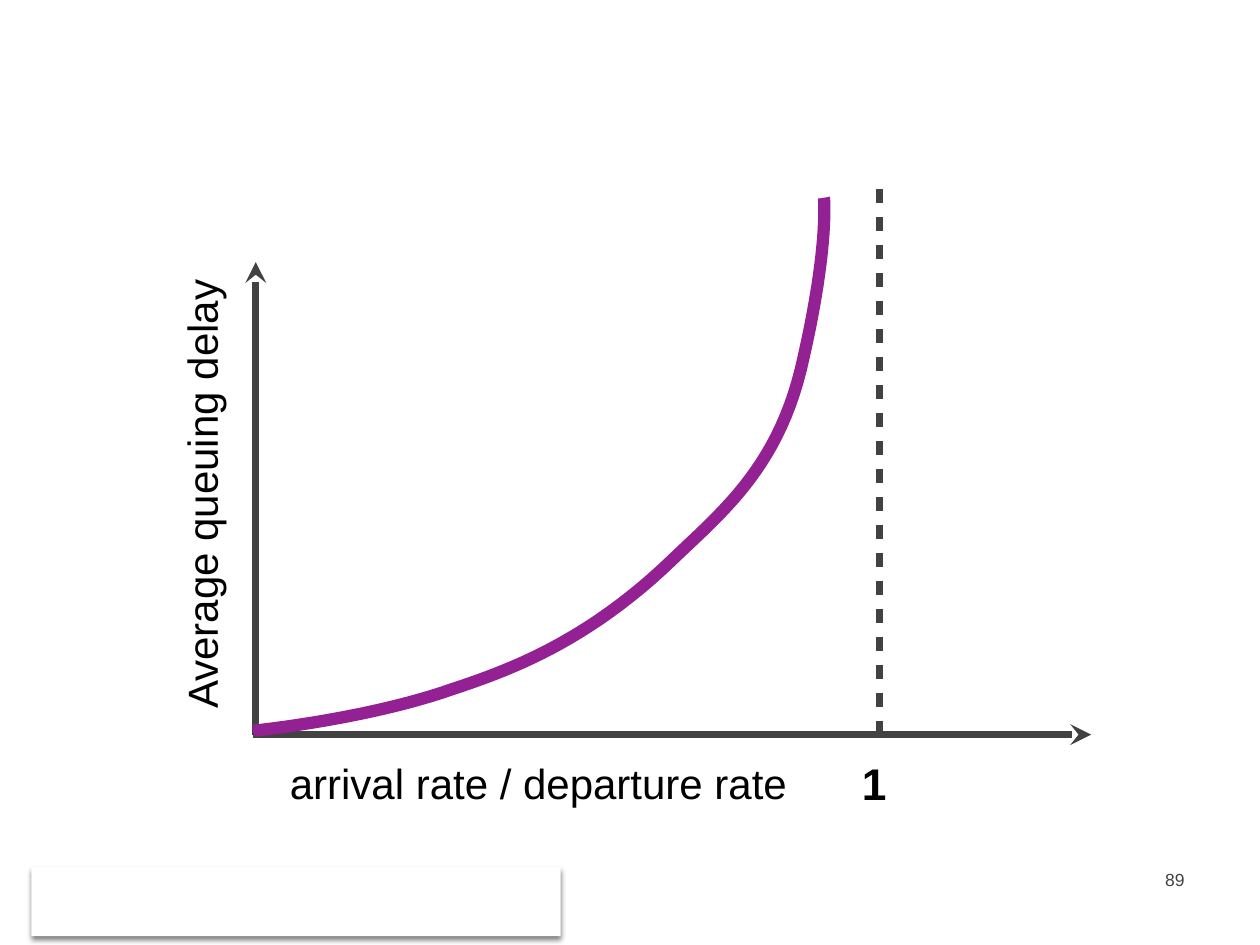
from lxml.etree import SubElement
from pptx import Presentation
from pptx.dml.color import RGBColor
from pptx.enum.shapes import MSO_CONNECTOR, MSO_SHAPE
from pptx.enum.text import MSO_ANCHOR, PP_ALIGN
from pptx.oxml.ns import qn
from pptx.util import Inches, Pt

INK, CURVE, BLACK, WHITE = "424242", "942193", "000000", "FFFFFF"
START = (2.01, 5.8)
CURVE_PARTS = [
    [(2.01, 5.8), (2.91, 5.71), (3.59, 5.47)],
    [(4.01, 5.33), (4.65, 5.11), (5.35, 4.43)],
    [(5.76, 4.04), (6.2, 3.68), (6.38, 2.83)],
    [(6.58, 1.95), (6.54, 1.57), (6.54, 1.57)],
]


def color(value):
    """Return the colour for a hex string."""
    return RGBColor.from_string(value)


def add_label(page, box, text, size, ink=BLACK, bold=False, margin=0.04,
              anchor=MSO_ANCHOR.MIDDLE, align=PP_ALIGN.LEFT):
    """Add one line of Arial text in the box and return its shape."""
    label = page.shapes.add_textbox(*map(Inches, box))
    frame = label.text_frame
    frame.word_wrap = True
    frame.vertical_anchor = anchor
    frame.margin_left = frame.margin_right = Inches(margin)
    frame.margin_top = frame.margin_bottom = Inches(margin / 2 + 0.02)
    frame.text = text
    para = frame.paragraphs[0]
    para.alignment = align
    font = para.runs[0].font
    font.name, font.size, font.bold = "Arial", Pt(size), bold
    font.color.rgb = color(ink)
    return label


def add_line(page, start, end, arrow=False, dashed=False):
    """Add a straight line, with an arrowhead at its start or dashes on request."""
    line = page.shapes.add_connector(
        MSO_CONNECTOR.STRAIGHT, *map(Inches, (*start, *end)))
    line.line.color.rgb = color(INK)
    line.line.width = Pt(4)
    properties = line._element.spPr
    stroke = properties.find(qn("a:ln"))
    if dashed:
        dashes = SubElement(stroke, qn("a:custDash"))
        SubElement(dashes, qn("a:ds"), d="200000", sp="200000")
    if arrow:
        SubElement(stroke, qn("a:headEnd"), type="stealth")
    SubElement(properties, qn("a:effectLst"))


def bezier_points(start, parts, steps=24):
    """Return the points along a chain of cubic curves."""
    points = []
    for first, second, end in parts:
        for step in range(1, steps + 1):
            t = step / steps
            weights = ((1 - t) ** 3, 3 * t * (1 - t) ** 2, 3 * t * t * (1 - t), t ** 3)
            points.append(tuple(
                sum(weight * value for weight, value in zip(weights, values))
                for values in zip(start, first, second, end)))
        start = end
    return points


def add_curve(page):
    """Draw the delay curve as an open outline."""
    builder = page.shapes.build_freeform(*map(Inches, START))
    points = [(Inches(x), Inches(y)) for x, y in bezier_points(START, CURVE_PARTS)]
    builder.add_line_segments(points, close=False)
    curve = builder.convert_to_shape()
    curve.shadow.inherit = False
    curve.fill.background()
    curve.line.color.rgb = color(CURVE)
    curve.line.width = Pt(7)


def add_plot(page, box):
    """Draw the axes, the curve, the limit line and the labels around the box."""
    left, top, width, height = box
    bottom = top + height
    limit = left + 4.95
    add_line(page, (left, top), (left, bottom), arrow=True)
    add_line(page, (left + width, bottom), (left - 0.02, bottom), arrow=True)
    add_curve(page)
    add_line(page, (limit, 1.5), (limit, bottom), dashed=True)
    add_label(page, (left + 0.23, bottom + 0.14, 4.28, 0.48),
              "arrival rate / departure rate", 24)
    add_label(page, (limit - 0.18, bottom + 0.13, 0.36, 0.5), "1", 25.3, bold=True)
    delay = add_label(page, (-0.32, 3.51, 3.83, 0.48), "Average queuing delay", 24)
    delay.rotation = 270


def add_footer(page, box):
    """Place the raised white panel and the page number in the bottom band."""
    left, top, width, height = box
    panel = page.shapes.add_shape(
        MSO_SHAPE.RECTANGLE, *map(Inches, (left, top + 0.05, 4.2, height - 0.05)))
    panel.shadow.inherit = False
    panel.fill.solid()
    panel.fill.fore_color.rgb = color(WHITE)
    panel.line.fill.background()
    effects = panel._element.spPr.find(qn("a:effectLst"))
    shadow = SubElement(effects, qn("a:outerShdw"), blurRad=str(Pt(3)),
                        dist=str(Pt(2)), dir="5400000", rotWithShape="0")
    tint = SubElement(shadow, qn("a:srgbClr"), val=BLACK)
    SubElement(tint, qn("a:alpha"), val="50000")
    add_label(page, (left + width - 2.33, top, 2.33, 0.5), "89", 10, INK,
              margin=0.1, anchor=MSO_ANCHOR.TOP, align=PP_ALIGN.RIGHT)


def main():
    """Build the queuing delay slide and save it."""
    deck = Presentation()
    deck.slide_width, deck.slide_height = Inches(10), Inches(7.5)
    page = deck.slides.add_slide(deck.slide_layouts[6])
    add_plot(page, (2.03, 2.08, 6.63, 3.75))
    add_footer(page, (0.25, 6.83, 9.25, 0.6))
    deck.save("out.pptx")


if __name__ == "__main__":
    main()
